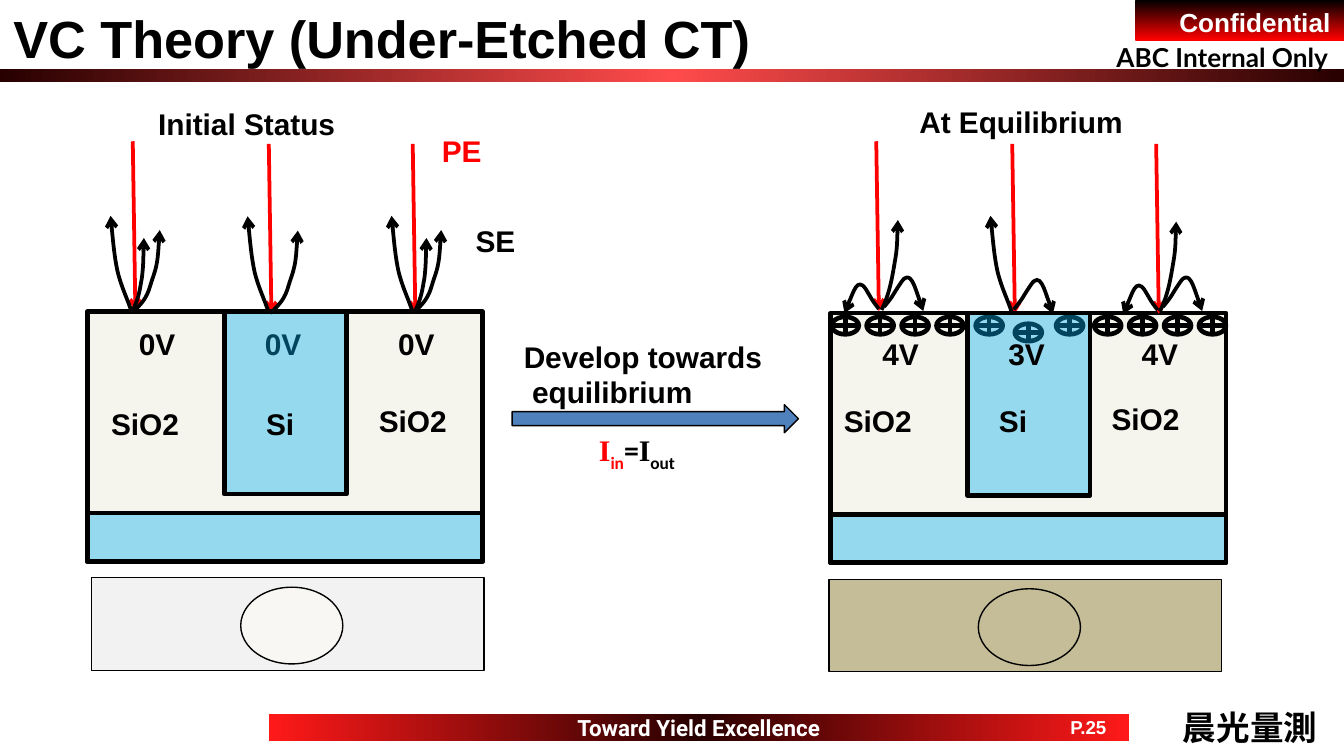
from lxml.etree import SubElement
from pptx import Presentation
from pptx.dml.color import RGBColor
from pptx.enum.shapes import MSO_CONNECTOR as Link, MSO_SHAPE as Kind
from pptx.enum.text import MSO_ANCHOR as Anchor, MSO_AUTO_SIZE as Fit, PP_ALIGN as Align
from pptx.oxml.ns import qn
from pptx.util import Cm, Pt

COLORS = {
    "black": "000000", "white": "FFFFFF", "red": "FF0000",
    "dark": "280000", "glow": "FF4B4B", "footer": "FF1919",
    "oxide": "F5F4ED", "silicon": "00B0F0", "arrow": "4F81BD",
    "pale": "F2F2F2", "hole": "F8F7F3", "tan": "C4BD97",
}

deck = Presentation()
deck.slide_width, deck.slide_height = Cm(25.4), Cm(14.29)
page = deck.slides.add_slide(deck.slide_layouts[5])


def draw(kind, place, fill=None, width=None):
    """Add a preset shape at (left, top, width, height) in cm."""
    shape = page.shapes.add_shape(kind, *map(Cm, place))
    shape.shadow.inherit = False
    if fill:
        shape.fill.solid()
        shape.fill.fore_color.rgb = RGBColor.from_string(COLORS[fill])
    else:
        shape.fill.background()
    if width:
        shape.line.color.rgb = RGBColor.from_string(COLORS["black"])
        shape.line.width = Pt(width)
    else:
        shape.line.fill.background()
    return shape


def write(shape, text, size=16, color="black", font="Arial",
          align=Align.LEFT, anchor=Anchor.TOP, wrap=True):
    """Fill a shape with bold text, one paragraph per line."""
    frame = shape.text_frame
    frame.text = text
    frame.word_wrap, frame.vertical_anchor, frame.auto_size = wrap, anchor, Fit.NONE
    for para in frame.paragraphs:
        para.alignment = align
        para.font.name, para.font.size, para.font.bold = font, Pt(size), True
        para.font.color.rgb = RGBColor.from_string(COLORS[color])


# Gradient bars: header rule, confidentiality tag, footer
bars = []
for place, angle, stops in [
    ((0, 1.3, 25.4, 0.25), 0, ["dark", "glow", "dark"]),
    ((21.46, 0, 3.94, 0.76), 90, ["black", "red"]),
    ((5.08, 13.49, 16.26, 0.51), 0, ["footer", "dark", "footer"]),
]:
    bar = draw(Kind.RECTANGLE, place)
    bar.fill.gradient()
    gradient = bar._element.spPr.find(qn("a:gradFill"))
    stop_list = gradient.find(qn("a:gsLst"))
    for old_stop in list(stop_list):
        stop_list.remove(old_stop)
    for i, name in enumerate(stops):
        stop = SubElement(stop_list, qn("a:gs"), pos=str(100000 * i // (len(stops) - 1)))
        SubElement(stop, qn("a:srgbClr"), val=COLORS[name])
    gradient.find(qn("a:lin")).set("ang", str(angle * 60000))
    bars.append(bar)
write(bars[1], "Confidential", 14, "white", align=Align.RIGHT)
write(bars[2], "Toward Yield Excellence", 12, "white", "Roboto", Align.CENTER, Anchor.MIDDLE, False)

# Header and footer texts
page_number = page.shapes.add_textbox(Cm(19.81), Cm(13.49), Cm(1.52), Cm(0.51))
write(page_number, "P.25", 10, "white", align=Align.CENTER, anchor=Anchor.MIDDLE, wrap=False)
notice = page.shapes.add_textbox(Cm(20.85), Cm(0.66), Cm(4.57), Cm(0.86))
write(notice, "ABC Internal Only", 14, font="Lato", wrap=False)
company = page.shapes.add_textbox(Cm(22.1), Cm(13.23), Cm(3.05), Cm(1.02))
write(company, "晨光量測", 18, align=Align.CENTER, anchor=Anchor.MIDDLE)

# Title
title = page.shapes.title
title.left, title.top, title.width, title.height = Cm(0), Cm(0), Cm(17.78), Cm(1.45)
write(title, "VC Theory (Under-Etched CT)", 28)

# Electron trajectories: curve points relative to the start, in cm
CURVES = {
    "left": [(-0.08, -0.25), (-0.2, -0.48), (-0.27, -0.78), (-0.33, -1.06), (-0.4, -1.82)],
    "right": [(0.33, -0.3), (0.3, -0.42), (0.4, -0.69), (0.49, -0.95), (0.52, -1.56)],
    "short": [(0.13, -0.28), (0.13, -0.4), (0.17, -0.6), (0.2, -0.82), (0.21, -1.37)],
    "rise": [(0.15, -0.3), (0.2, -0.6), (0.25, -0.9), (0.3, -1.17), (0.31, -1.7)],
    "hop left": [(-0.15, -0.19), (-0.11, -0.15), (-0.25, -0.38), (-0.41, -0.61), (-0.65, 0.08)],
    "hop right": [(0.2, -0.24), (0.13, -0.18), (0.32, -0.46), (0.5, -0.74), (0.74, 0.08)],
}
initial_paths = [
    ("left", 2.49, 5.9), ("right", 2.5, 5.91), ("short", 2.51, 5.87),
    ("left", 5.08, 5.91), ("right", 5.11, 5.92),
    ("left", 7.8, 5.9), ("right", 7.82, 5.91), ("short", 7.85, 5.87),
]
equilibrium_paths = [
    ("hop left", 16.61, 5.84), ("rise", 16.66, 5.86), ("hop right", 16.71, 5.8),
    ("left", 19.12, 5.9), ("hop right", 19.16, 5.85),
    ("hop left", 21.88, 5.86), ("rise", 21.92, 5.89), ("hop right", 21.98, 5.8),
]
ions = [(x + 0.66 * i, 5.99) for x in (15.72, 20.68) for i in range(4)]
ions += [(18.44, 5.99), (19.18, 6.12), (19.96, 5.99)]

# Both states: cross-section, charges, beams, electrons and top view
for dx, dy, volts, volts_top, charges, paths, view_dx, view_fill, hole_fill in [
    (0, 0, ("0V", "0V", "0V"), 6.02, [], initial_paths, 0, "pale", "hole"),
    (14.05, 0.03, ("4V", "3V", "4V"), 6.22, ions, equilibrium_paths, 13.94, "tan", "tan"),
]:
    draw(Kind.RECTANGLE, (1.65 + dx, 5.89 + dy, 7.47, 4.72), "oxide", 2.5)
    voltage_boxes = []
    for volt, (x, width) in zip(volts, [(1.98, 1.98), (4.22, 2.26), (6.88, 1.98)]):
        box = page.shapes.add_textbox(Cm(x + dx), Cm(volts_top), Cm(width), Cm(0.94))
        write(box, volt, align=Align.CENTER, anchor=Anchor.MIDDLE)
        voltage_boxes.append(box)
    for x, y in charges:
        draw(Kind.FLOWCHART_OR, (x, y, 0.51, 0.33), width=2.5)

    # Primary beams
    arrows = []
    for x, top, bottom in [(2.51, 2.67, 5.88), (5.08, 2.72, 5.93), (7.8, 2.72, 5.93)]:
        beam = page.shapes.add_connector(
            Link.STRAIGHT, Cm(x + dx), Cm(top), Cm(x + dx + 0.05), Cm(bottom))
        SubElement(beam._element.spPr, qn("a:effectLst"))
        arrows.append((beam, "red"))

    # Secondary electrons: every three points make one cubic curve
    for name, x, y in paths:
        points = CURVES[name] + CURVES[name][-1:]
        builder = page.shapes.build_freeform(Cm(x), Cm(y))
        builder.add_line_segments([(Cm(x + px), Cm(y + py)) for px, py in points], close=False)
        electron = builder.convert_to_shape()
        electron.shadow.inherit = False
        electron.fill.background()
        segments = list(electron._element.iter(qn("a:lnTo")))
        outline = segments[0].getparent()
        for i in range(0, len(segments), 3):
            curve = SubElement(outline, qn("a:cubicBezTo"))
            for segment in segments[i:i + 3]:
                curve.append(segment[0])
                outline.remove(segment)
        arrows.append((electron, "black"))

    for arrow, color in arrows:
        arrow.line.color.rgb = RGBColor.from_string(COLORS[color])
        arrow.line.width = Pt(2)
        SubElement(arrow._element.spPr.find(qn("a:ln")), qn("a:tailEnd"), type="arrow")

    # Translucent silicon plug and substrate
    for place in [(4.24 + dx, 5.89 + dy, 2.31, 3.45), (1.65 + dx, 9.7 + dy, 7.47, 0.91)]:
        silicon = draw(Kind.RECTANGLE, place, "silicon", 2.5)
        tint = silicon._element.spPr.find(qn("a:solidFill"))[0]
        SubElement(tint, qn("a:alpha"), val="39000")
    if charges:  # the equilibrium voltages lie above the plug
        for box in voltage_boxes:
            page.shapes._spTree.append(box._element)

    draw(Kind.RECTANGLE, (1.73 + view_dx, 10.92 + dy, 7.42, 1.75), view_fill, 0.75)
    draw(Kind.OVAL, (4.55 + view_dx, 11.1 + dy, 1.93, 1.45), hole_fill, 0.75)

# Transition arrow
draw(Kind.RIGHT_ARROW, (9.68, 7.65, 5.41, 0.53), "arrow", 0.75)

# Labels
labels = [
    ("Initial Status", 2.74, 1.88, 4.83, 0.94, "black", True),
    (" At Equilibrium", 16.99, 1.83, 4.55, 0.94, "black", False),
    ("PE", 8.1, 2.39, 2.11, 0.94, "red", True),
    ("SE", 8.74, 4.09, 2.11, 0.94, "black", True),
    ("Develop towards\n equilibrium", 9.65, 6.27, 5.23, 1.63, "black", False),
]
for dx, dy in [(0, 0), (13.85, -0.05)]:
    for text, x, y, width in [("SiO2", 1.85, 7.54, 2.24), ("Si", 4.78, 7.54, 1.52),
                              ("SiO2", 6.91, 7.49, 2.24)]:
        labels.append((text, x + dx, y + dy, width, 0.94, "black", True))
for text, x, y, width, height, color, wrap in labels:
    box = page.shapes.add_textbox(Cm(x), Cm(y), Cm(width), Cm(height))
    write(box, text, color=color, wrap=wrap)

# Current balance
balance = page.shapes.add_textbox(Cm(11.07), Cm(8.08), Cm(2.57), Cm(0.94))
write(balance, "", anchor=Anchor.MIDDLE)
for text, font, color, lowered in [
    ("I", "Times New Roman", "red", False), ("in", "Calibri", "red", True),
    ("=", "Calibri", "black", False),
    ("I", "Times New Roman", "black", False), ("out", "Calibri", "black", True),
]:
    span = balance.text_frame.paragraphs[0].add_run()
    span.text = text
    span.font.name, span.font.size, span.font.bold = font, Pt(16), True
    span.font.color.rgb = RGBColor.from_string(COLORS[color])
    if lowered:
        span._r.get_or_add_rPr().set("baseline", "-30000")

deck.save("out.pptx")
